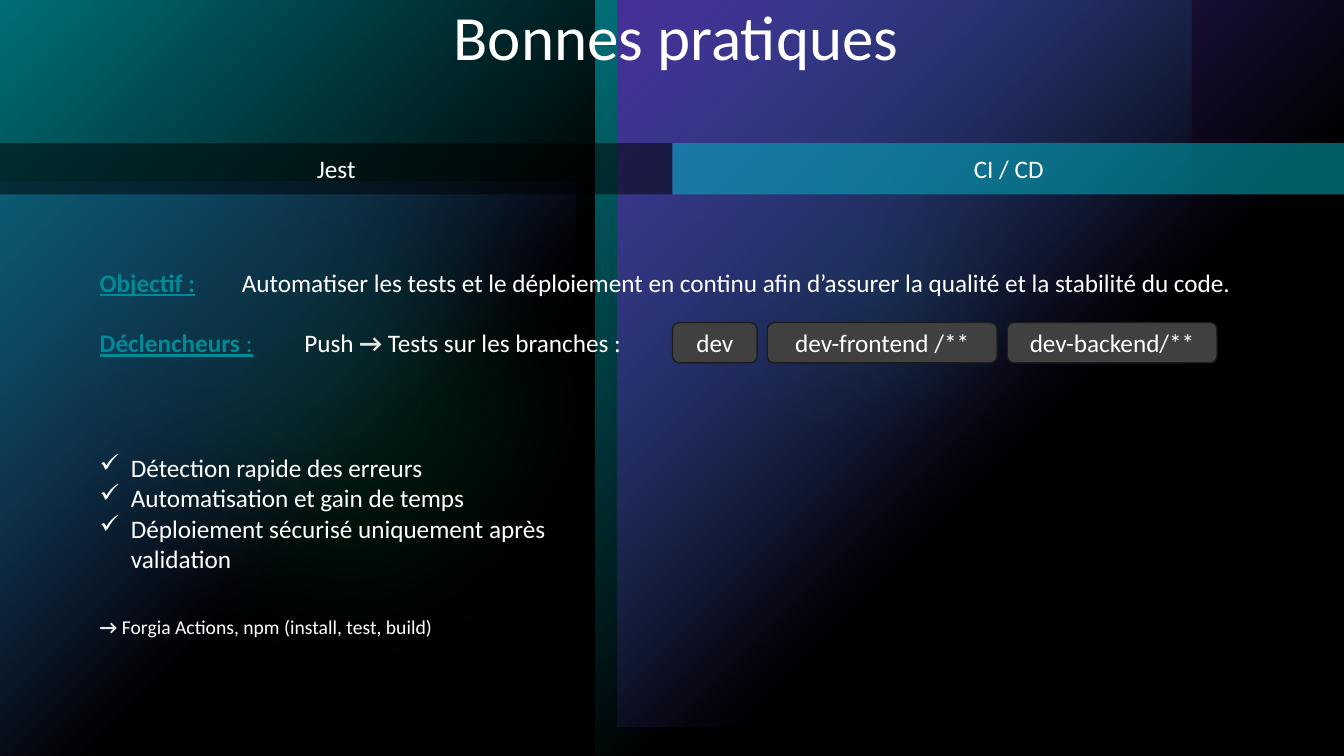
from dataclasses import dataclass
from lxml import etree
from pptx import Presentation, util as u
from pptx.dml.color import RGBColor
from pptx.enum import shapes, text
from pptx.oxml import parse_xml
from pptx.oxml.ns import nsdecls, qn

kind = shapes.MSO_SHAPE
I = u.Inches


@dataclass
class Theme:
    font: str = "Calibri"
    white: str = "FFFFFF"
    pale: str = "E8E8E8"
    black: str = "000000"
    label: str = "008B96"
    teal: str = "00BAC8"
    violet: str = "794DFF"
    green: str = "00D17D"
    pill: str = "404040"
    edge: str = "1C1C1C"
    title: int = 45
    body: int = 18
    note: int = 14


class Deck:
    def __init__(self, theme):
        self.theme = theme
        self.prs = Presentation()
        self.prs.slide_width, self.prs.slide_height = I(13.33), I(7.5)
        self.slide = self.prs.slides.add_slide(self.prs.slide_layouts[6])
        back = self.slide.background.fill
        back.solid()
        back.fore_color.rgb = RGBColor.from_string(theme.black)

    def shape(self, form, box, color, alpha=100):
        item = self.slide.shapes.add_shape(form, *map(I, box))
        item.shadow.inherit = False
        item.line.fill.background()
        item.fill.solid()
        item.fill.fore_color.rgb = RGBColor.from_string(color)
        if alpha < 100:
            clr = item._element.spPr.find(qn("a:solidFill"))[0]
            etree.SubElement(clr, qn("a:alpha"), val=str(alpha * 1000))
        return item

    def fade(self, box, color, alpha=100):
        item = self.shape(kind.RECTANGLE, box, color)
        props = item._element.spPr
        grad = parse_xml(
            f'<a:gradFill {nsdecls("a")} rotWithShape="1"><a:gsLst>'
            f'<a:gs pos="0"><a:srgbClr val="{color}"><a:alpha val="{alpha * 1000}"/></a:srgbClr></a:gs>'
            f'<a:gs pos="60000"><a:srgbClr val="{color}"><a:alpha val="0"/></a:srgbClr></a:gs>'
            '</a:gsLst><a:path path="circle"><a:fillToRect r="100000" b="100000"/></a:path></a:gradFill>')
        props.replace(props.find(qn("a:solidFill")), grad)

    def glow(self, box, color, alpha):
        item = self.shape(kind.OVAL, box, color, alpha)
        effects = item._element.spPr.find(qn("a:effectLst"))
        etree.SubElement(effects, qn("a:softEdge"), rad=str(I(1.39)))

    def fill(self, par, runs, size):
        for words, color, bold, under in runs:
            run = par.add_run()
            run.text = words
            font = run.font
            font.name, font.size = self.theme.font, u.Pt(size)
            font.bold, font.underline = bold, under
            font.color.rgb = RGBColor.from_string(color)

    def plain(self, words):
        return [(words, self.theme.white, False, False)]

    def panel(self, form, box, words, color, alpha=100):
        item = self.shape(form, box, color, alpha)
        item.text_frame.vertical_anchor = text.MSO_ANCHOR.MIDDLE
        par = item.text_frame.paragraphs[0]
        par.alignment = text.PP_ALIGN.CENTER
        self.fill(par, self.plain(words), self.theme.body)
        return item

    def pill(self, box, words):
        item = self.panel(kind.ROUNDED_RECTANGLE, box, words, self.theme.pill)
        item.line.color.rgb = RGBColor.from_string(self.theme.edge)
        item.line.width = u.Pt(1)

    def label(self, box, runs, size=None, wrap=False):
        frame = self.slide.shapes.add_textbox(*map(I, box)).text_frame
        frame.word_wrap = wrap
        self.fill(frame.paragraphs[0], runs, size or self.theme.body)
        return frame

    def title(self, box, words):
        frame = self.label(box, self.plain(words), self.theme.title, True)
        par = frame.paragraphs[0]
        par.alignment = text.PP_ALIGN.CENTER
        par.line_spacing = 0.9

    def checks(self, box, lines):
        frame = self.label(box, [], wrap=True)
        for i, line in enumerate(lines):
            par = frame.add_paragraph() if i else frame.paragraphs[0]
            props = par._p.get_or_add_pPr()
            props.set("marL", str(I(0.31)))
            props.set("indent", str(-I(0.31)))
            etree.SubElement(props, qn("a:buChar"), char="✓")
            self.fill(par, self.plain(line), self.theme.body)


def main():
    th = Theme()
    deck = Deck(th)
    left, row, high = 0.89, 3.2, 0.4

    deck.fade((0, 1.8, 5.71, 5.71), th.violet, 60)
    deck.glow((6.29, 0.43, 4.72, 4.72), th.green, 60)
    deck.glow((0, 0.56, 6.94, 6.94), th.green, 20)
    for x in (0, 5.91):
        deck.fade((x, 0, 5.91, 7.5), th.teal)
    deck.fade((6.13, 0, 7.21, 7.21), th.violet)
    deck.shape(kind.RECTANGLE, (0, 0, 13.33, 7.5), th.black, 40)

    tabs = [("Jest", th.black), ("CI / CD", th.teal)]
    for i, (words, color) in enumerate(tabs):
        deck.panel(kind.RECTANGLE, (i * 6.67, 1.42, 6.67, 0.51), words, color, 50)

    deck.label((left, 2.6, 1.29, high), [("Objectif :", th.label, True, True)])
    deck.label((2.3, 2.6, 10.15, high), deck.plain(
        "Automatiser les tests et le déploiement en continu afin d’assurer "
        "la qualité et la stabilité du code."), wrap=True)

    deck.label((left, row, 1.82, high), [
        ("Déclencheurs", th.label, True, True), (" :", th.label, False, True)])
    arrow = ("→ ", th.pale, True, False)
    deck.label((2.92, row, 3.5, high), [
        *deck.plain("Push "), arrow, *deck.plain("Tests sur les branches :")])

    x = 6.67
    for words, wide in [("dev", 0.84), ("dev-frontend /**", 2.28), ("dev-backend/**", 2.08)]:
        deck.pill((x, row, wide, high), words)
        x += wide + 0.1

    deck.checks((left, 4.44, 4.83, 1.31), [
        "Détection rapide des erreurs",
        "Automatisation et gain de temps",
        "Déploiement sécurisé uniquement après validation"])
    deck.label((left, 6.05, 3.73, 0.34), [
        arrow, *deck.plain("Forgia Actions, npm (install, test, build)")], th.note)
    deck.title((3.93, 0.01, 5.55, 0.94), "Bonnes pratiques")
    deck.prs.save("out.pptx")


if __name__ == "__main__":
    main()
